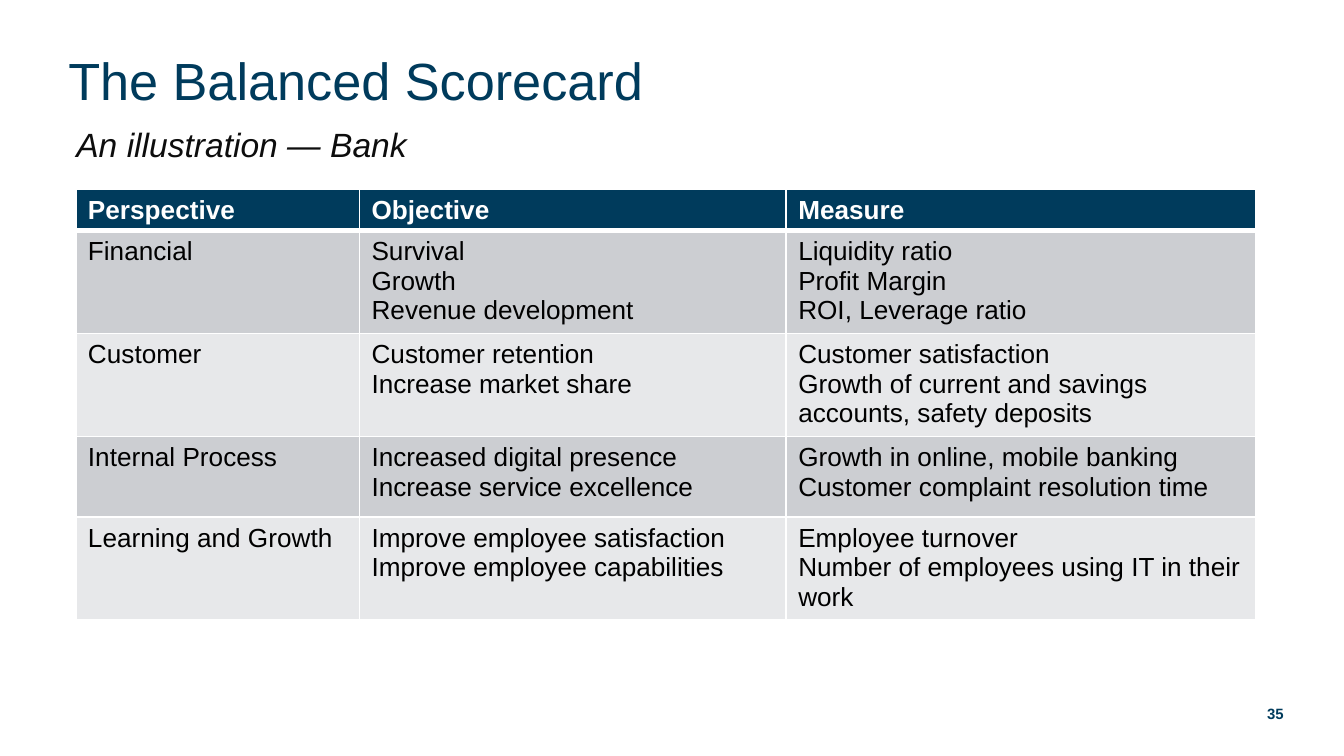
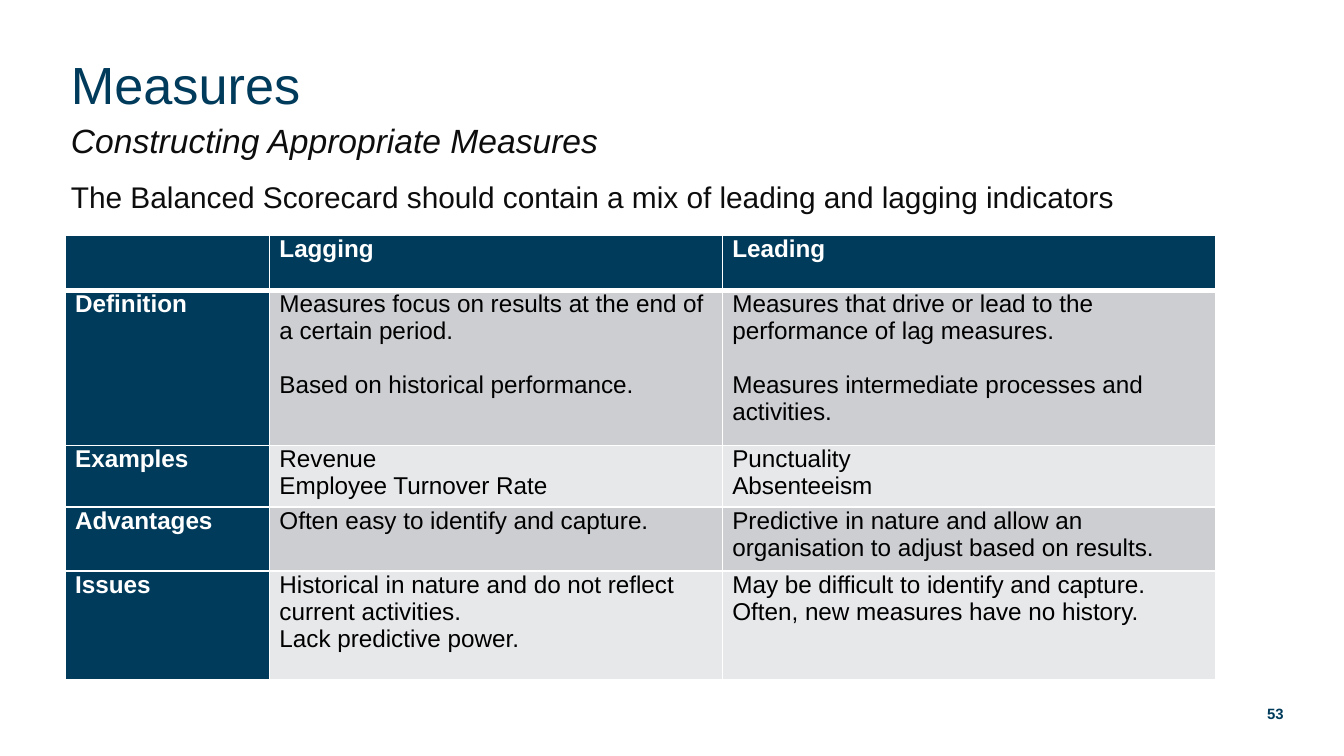
"""Build two slides on the balanced scorecard and its measures."""
import pptx
import pptx.util
import pptx.dml.color
import pptx.enum.text
import pptx.oxml
import pptx.oxml.ns

PX = 4572
FONT = "Arial"
NAVY, INK, BLACK, WHITE = "003B5C", "0D0D0D", "000000", "FFFFFF"
BANDS = ("CCCED2", "E7E8EA")
ALIGN = pptx.enum.text.PP_ALIGN
ANCHOR = pptx.enum.text.MSO_ANCHOR

SLIDES = [
    {
        "number": "35",
        "title": ("The Balanced Scorecard", (82, 51, 1874, 124)),
        "title_spacing": 1.0,
        "subtitle": ("An illustration — Bank", (94, 174, 626, 90)),
        "table": {
            "at": (113, 281),
            "cols": (422, 635, 699),
            "heights": (62, 144, 138, 120, 118),
            "size": 14,
            "insets": (18, 10, 18, 3),
            "side_header": False,
            "gap": 0,
            "rows": [
                ("Perspective", "Objective", "Measure"),
                ("Financial",
                 "Survival\nGrowth\nRevenue development",
                 "Liquidity ratio\nProfit Margin\nROI, Leverage ratio"),
                ("Customer",
                 "Customer retention\nIncrease market share",
                 "Customer satisfaction\nGrowth of current and savings accounts, safety deposits"),
                ("Internal Process",
                 "Increased digital presence\nIncrease service excellence",
                 "Growth in online, mobile banking\nCustomer complaint resolution time"),
                ("Learning and Growth",
                 "Improve employee satisfaction\nImprove employee capabilities",
                 "Employee turnover\nNumber of employees using IT in their work"),
            ],
        },
    },
    {
        "number": "53",
        "title": ("Measures", (86, 66, 1874, 116)),
        "title_spacing": 0.9,
        "subtitle": ("Constructing Appropriate Measures", (86, 168, 1874, 90)),
        "lead": ("The Balanced Scorecard should contain a mix of leading and lagging indicators",
                 (86, 256, 1874, 96)),
        "table": {
            "at": (97, 350),
            "cols": (304, 674, 734),
            "heights": (82, 231, 92, 95, 162),
            "size": 13,
            "insets": (15, 0, 15, 0),
            "side_header": True,
            "gap": 14.5,
            "rows": [
                ("", "Lagging", "Leading"),
                ("Definition",
                 "Measures focus on results at the end of a certain period.\n\n"
                 "Based on historical performance.",
                 "Measures that drive or lead to the performance of lag measures.\n\n"
                 "Measures intermediate processes and activities."),
                ("Examples", "Revenue\nEmployee Turnover Rate", "Punctuality\nAbsenteeism"),
                ("Advantages",
                 "Often easy to identify and capture.",
                 "Predictive in nature and allow an organisation to adjust based on results."),
                ("Issues",
                 "Historical in nature and do not reflect current activities.\nLack predictive power.",
                 "May be difficult to identify and capture. Often, new measures have no history."),
            ],
        },
    },
]


def px(n):
    return pptx.util.Emu(n * PX)


def rgb(color):
    return pptx.dml.color.RGBColor.from_string(color)


def style(p, size, color, bold=False, italic=False):
    f = p.font
    f.name, f.size, f.bold, f.italic = FONT, pptx.util.Pt(size), bold, italic
    f.color.rgb = rgb(color)


def add_text(s, text, box, size, color, anchor=ANCHOR.TOP, align=ALIGN.LEFT,
             before=0, after=0, spacing=1.0, bold=False, italic=False):
    tf = s.shapes.add_textbox(*map(px, box)).text_frame
    tf.word_wrap = True
    tf.vertical_anchor = anchor
    p = tf.paragraphs[0]
    p.text, p.alignment, p.line_spacing = text, align, spacing
    p.space_before, p.space_after = pptx.util.Pt(before), pptx.util.Pt(after)
    style(p, size, color, bold, italic)


def add_borders(cell, bottom):
    tcPr = cell._tc.get_or_add_tcPr()
    widths = {"lnL": 1, "lnR": 1, "lnT": 1, "lnB": bottom}
    for i, (tag, width) in enumerate(widths.items()):
        tcPr.insert(i, pptx.oxml.parse_xml(
            f'<a:{tag} {pptx.oxml.ns.nsdecls("a")} w="{width * 12700}"><a:solidFill>'
            f'<a:srgbClr val="{WHITE}"/></a:solidFill></a:{tag}>'))


def fill_cell(cell, text, data, color, header, bottom):
    cell.fill.solid()
    cell.fill.fore_color.rgb = rgb(color)
    (cell.margin_left, cell.margin_top,
     cell.margin_right, cell.margin_bottom) = map(px, data["insets"])
    tf = cell.text_frame
    for block_no, block in enumerate(text.split("\n\n")):
        for line_no, line in enumerate(block.split("\n")):
            first = block_no == line_no == 0
            p = tf.paragraphs[0] if first else tf.add_paragraph()
            p.text = line
            if block_no and line_no == 0:
                p.space_before = pptx.util.Pt(data["gap"])
            style(p, data["size"], WHITE if header else BLACK, header)
    add_borders(cell, bottom)


def add_table(s, data):
    rows, cols, heights = data["rows"], data["cols"], data["heights"]
    box = (*data["at"], sum(cols), sum(heights))
    table = s.shapes.add_table(len(rows), len(cols), *map(px, box)).table
    table.horz_banding = False
    table.first_col = data["side_header"]
    for column, width in zip(table.columns, cols):
        column.width = px(width)
    for r, (texts, height) in enumerate(zip(rows, heights)):
        table.rows[r].height = px(height)
        for c, text in enumerate(texts):
            header = r == 0 or (c == 0 and data["side_header"])
            color = NAVY if header else BANDS[(r - 1) % 2]
            fill_cell(table.cell(r, c), text, data, color, header, 1 if r else 3)


def main():
    prs = pptx.Presentation()
    prs.slide_width, prs.slide_height = px(2000), px(1125)
    for page in SLIDES:
        s = prs.slides.add_slide(prs.slide_layouts[6])
        add_text(s, page["number"], (1500, 1032, 430, 60), 8, NAVY,
                 ANCHOR.MIDDLE, ALIGN.RIGHT, bold=True)
        add_text(s, *page["title"], 28, NAVY, ANCHOR.BOTTOM, spacing=page["title_spacing"])
        add_text(s, *page["subtitle"], 18, INK, before=3.6, italic=True)
        if "lead" in page:
            add_text(s, *page["lead"], 16, INK, align=ALIGN.JUSTIFY, after=12)
        add_table(s, page["table"])
    prs.save("out.pptx")


if __name__ == "__main__":
    main()
